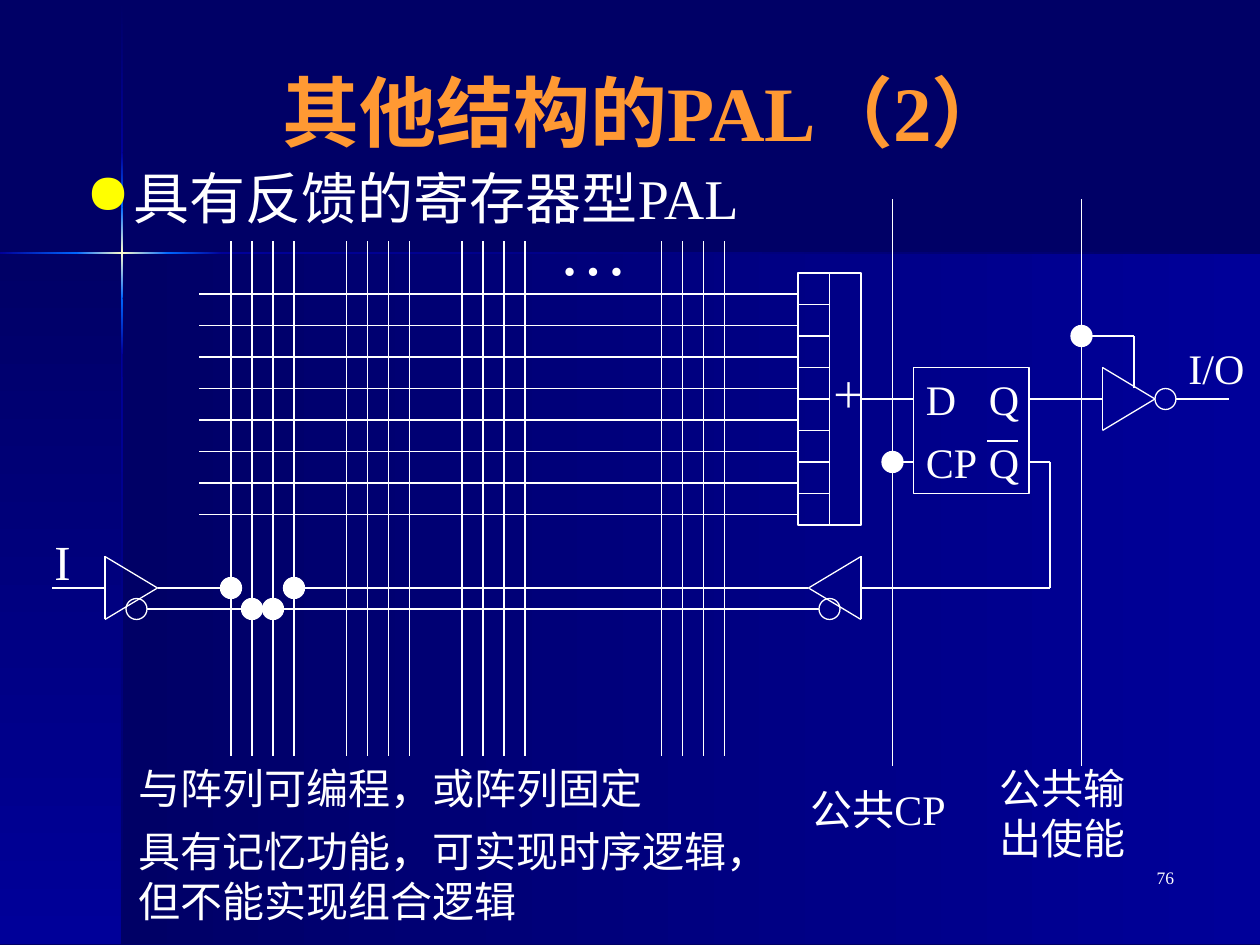
from lxml.etree import SubElement
from pptx import Presentation
from pptx.dml.color import RGBColor
from pptx.enum.shapes import MSO_CONNECTOR as Connector, MSO_SHAPE as Shape
from pptx.enum.text import MSO_ANCHOR as Anchor, PP_ALIGN as Align
from pptx.oxml.ns import qn
from pptx.util import Emu, Pt

FONT = "Times New Roman"
WHITE, ORANGE, YELLOW = "FFFFFF", "FF9933", "FFFF00"
NAVY, BLUE, BRIGHT, CREAM = "000066", "000099", "0066FF", "FFFFCC"
LINE_WIDTH = 0.75
RADIUS = 10
PITCH = 30


def px(value):
    return Emu(value * 7620)


def color(value):
    return RGBColor.from_string(value)


def add_gradient(page, left, top, width, height, colors, downward):
    band = page.shapes.add_shape(Shape.RECTANGLE, px(left), px(top), px(width), px(height))
    band.shadow.inherit = False
    band.line.fill.background()
    band.fill.gradient()
    band.fill.gradient_angle = 270 if downward else 0
    stops = band._element.spPr.find(".//" + qn("a:gsLst"))
    stops.clear()
    for index, value in enumerate(colors):
        position = 100000 * index // (len(colors) - 1)
        stop = SubElement(stops, qn("a:gs"), pos=str(position))
        SubElement(stop, qn("a:srgbClr"), val=value)


def add_outline(page, kind, left, top, width, height, fill=None):
    shape = page.shapes.add_shape(kind, px(left), px(top), px(width), px(height))
    shape.shadow.inherit = False
    if fill:
        shape.fill.solid()
        shape.fill.fore_color.rgb = color(fill)
    else:
        shape.fill.background()
    shape.line.color.rgb = color(WHITE)
    shape.line.width = Pt(LINE_WIDTH)
    return shape


def add_circle(page, x, y, fill=None):
    add_outline(page, Shape.OVAL, x - RADIUS, y - RADIUS, 2 * RADIUS, 2 * RADIUS, fill)


def add_wire(page, x1, y1, x2, y2):
    wire = page.shapes.add_connector(Connector.STRAIGHT, px(x1), px(y1), px(x2), px(y2))
    wire.line.color.rgb = color(WHITE)
    wire.line.width = Pt(LINE_WIDTH)
    SubElement(wire._element.spPr, qn("a:effectLst"))
    return wire


def add_buffer(page, base, tip, middle):
    add_wire(page, base, middle - 30, base, middle + 30)
    for edge in (middle - 30, middle + 30):
        add_wire(page, base, edge, tip, middle)


def add_text(page, left, top, width, height, text, size, fill=WHITE, bold=False,
             align=Align.LEFT, anchor=Anchor.TOP, bullet=False):
    box = page.shapes.add_textbox(px(left), px(top), px(width), px(height))
    frame = box.text_frame
    frame.word_wrap = True
    frame.vertical_anchor = anchor
    para = frame.paragraphs[0]
    para.alignment = align
    if bullet:
        properties = para._p.get_or_add_pPr()
        properties.set("marL", str(px(45)))
        properties.set("indent", str(-px(45)))
        tint = SubElement(properties, qn("a:buClr"))
        SubElement(tint, qn("a:srgbClr"), val=YELLOW)
        SubElement(properties, qn("a:buChar"), char="●")
    span = para.add_run()
    span.text = text
    span.font.name = FONT
    span.font.size = Pt(size)
    span.font.bold = bold
    span.font.color.rgb = color(fill)


def draw_backdrop(page):
    page.background.fill.solid()
    page.background.fill.fore_color.rgb = color(NAVY)
    add_gradient(page, 116, 241, 1084, 658, (NAVY, BLUE), False)
    add_gradient(page, 0, 241, 116, 658, (NAVY, BLUE), True)
    glow = [(NAVY, BLUE), (BLUE, BRIGHT), (BRIGHT, CREAM, BRIGHT), (BRIGHT, BLUE), (BLUE, NAVY)]
    rows = [0, 145, 197, 284, 337, 899]
    for start, end, colors in zip(rows, rows[1:], glow):
        add_gradient(page, 115, start, 2, end - start, colors, True)
    columns = [0, 73, 160, 212, 1200]
    for start, end, colors in zip(columns, columns[1:], glow[1:]):
        add_gradient(page, start, 240, end - start, 2, colors, False)


def draw_array(page):
    for row in range(8):
        add_wire(page, 190, 280 + row * PITCH, 760, 280 + row * PITCH)
        add_outline(page, Shape.RECTANGLE, 760, 260 + row * PITCH, 30, PITCH)
    for group in (220, 330, 440, 630):
        for column in range(4):
            x = group + column * 20
            add_wire(page, x, 230, x, 720)


def draw_register(page):
    or_gate = add_outline(page, Shape.RECTANGLE, 790, 260, 30, 240)
    add_outline(page, Shape.RECTANGLE, 870, 350, 110, 120)
    add_wire(page, 820, 380, 870, 380).begin_connect(or_gate, 3)
    for base, tip, middle in ((100, 150, 560), (820, 770, 560), (1050, 1100, 380)):
        add_buffer(page, base, tip, middle)
    wires = [
        (980, 380, 1050, 380), (1120, 380, 1170, 380),
        (1080, 370, 1080, 320), (1030, 320, 1080, 320),
        (850, 190, 850, 730), (1030, 190, 1030, 730),
        (870, 440, 850, 440), (940, 420, 970, 420),
        (980, 440, 1000, 440), (1000, 440, 1000, 560), (820, 560, 1000, 560),
        (770, 560, 280, 560), (260, 580, 780, 580),
        (220, 560, 150, 560), (240, 580, 140, 580), (100, 560, 50, 560),
    ]
    for wire in wires:
        add_wire(page, *wire)
    for x, y in ((130, 580), (790, 580), (1110, 380)):
        add_circle(page, x, y)
    for x, y in ((220, 560), (240, 580), (260, 580), (280, 560), (850, 440), (1030, 320)):
        add_circle(page, x, y, WHITE)


def write_labels(page):
    labels = [
        (1120, 320, 80, 60, "I/O", 24),
        (780, 350, 50, 53, "＋", 20),
        (520, 190, 90, 92, "…", 40),
        (40, 500, 60, 68, "I", 28),
        (870, 350, 50, 60, "D", 24),
        (930, 350, 50, 60, "Q", 24),
        (870, 410, 90, 60, "CP", 24),
        (930, 410, 50, 60, "Q", 24),
        (760, 740, 180, 60, "公共CP", 24),
        (940, 720, 180, 108, "公共输出使能", 24),
        (120, 720, 550, 60, "与阵列可编程，或阵列固定", 24),
        (120, 780, 610, 108, "具有记忆功能，可实现时序逻辑，但不能实现组合逻辑", 24),
    ]
    for label in labels:
        add_text(page, *label)


def main():
    deck = Presentation()
    deck.slide_width, deck.slide_height = px(1200), px(900)
    page = deck.slides.add_slide(deck.slide_layouts[6])
    draw_backdrop(page)
    add_text(page, 880, 820, 250, 60, "76", 10, align=Align.RIGHT)
    add_text(page, 80, 40, 1070, 130, "其他结构的PAL（2）", 44, ORANGE, True,
             Align.CENTER, Anchor.MIDDLE)
    add_text(page, 70, 150, 1070, 610, "具有反馈的寄存器型PAL", 32, bullet=True)
    draw_array(page)
    draw_register(page)
    write_labels(page)
    deck.save("out.pptx")


if __name__ == "__main__":
    main()
